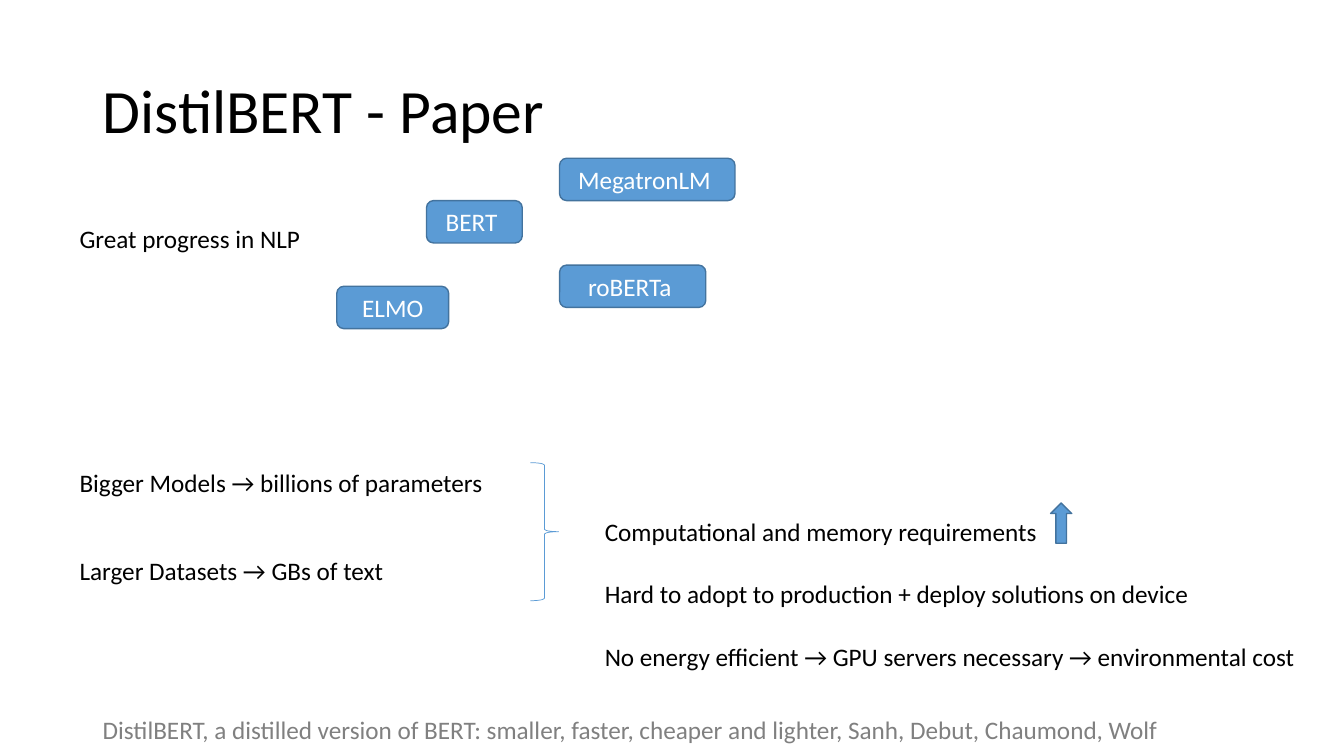
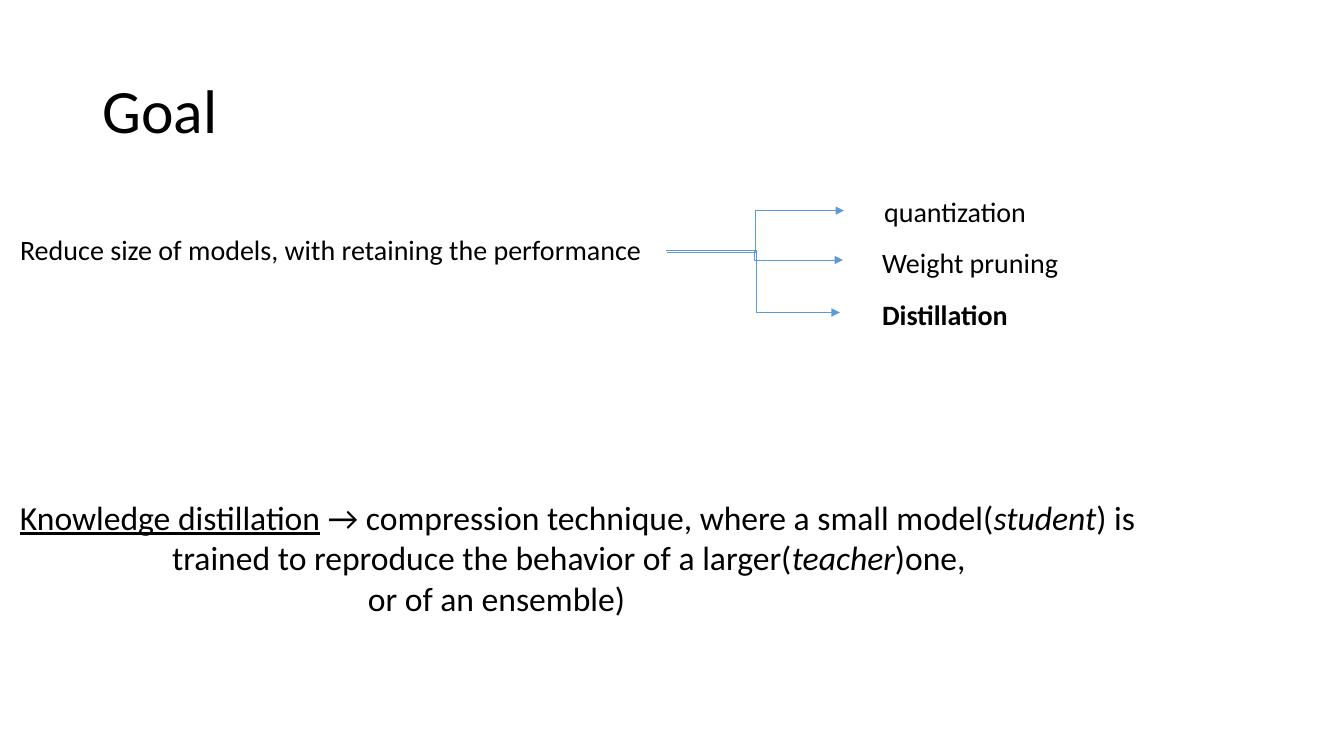
"""Build two slides about the DistilBERT paper."""
from lxml import etree
from pptx import Presentation
from pptx.dml.color import RGBColor
from pptx.enum.shapes import MSO_CONNECTOR, MSO_SHAPE
from pptx.enum.text import MSO_ANCHOR, PP_ALIGN
from pptx.oxml.ns import qn
from pptx.util import Inches, Pt

ELBOW = MSO_CONNECTOR.ELBOW
ROUNDED, BRACE, UP_ARROW = MSO_SHAPE.ROUNDED_RECTANGLE, MSO_SHAPE.RIGHT_BRACE, MSO_SHAPE.UP_ARROW
MIDDLE, TOP = MSO_ANCHOR.MIDDLE, MSO_ANCHOR.TOP
LEFT, CENTER = PP_ALIGN.LEFT, PP_ALIGN.CENTER

FONT = "Calibri"
BLACK, WHITE, GRAY = "000000", "FFFFFF", "808080"
BLUE, DARK_BLUE = "5B9BD5", "43739E"
UNDERLINED, ITALIC = {"underline": True}, {"italic": True}


def color(value):
    """Turn a hex string into a colour."""
    return RGBColor.from_string(value)


def write(para, text, size=18, ink=BLACK, align=LEFT, spacing=1.0, **style):
    """Add a formatted span of text to a paragraph."""
    para.alignment, para.line_spacing = align, spacing
    span = para.add_run()
    span.text = text
    font = span.font
    font.name, font.size, font.color.rgb = FONT, Pt(size), color(ink)
    for name, value in style.items():
        setattr(font, name, value)


def add_box(page, left, top, width, height, anchor=TOP):
    """Add an empty wrapping text box and return its frame."""
    box = page.shapes.add_textbox(Inches(left), Inches(top), Inches(width), Inches(height))
    frame = box.text_frame
    frame.word_wrap, frame.vertical_anchor = True, anchor
    return frame


def add_label(page, text, left, top, width, height=0.4, **style):
    """Add a one-line text box."""
    write(add_box(page, left, top, width, height).paragraphs[0], text, **style)


def add_page(deck, title):
    """Add a blank slide with the shared title."""
    page = deck.slides.add_slide(deck.slide_layouts[6])
    frame = add_box(page, 0.92, 0.4, 11.5, 1.45, MIDDLE)
    write(frame.paragraphs[0], title, size=44, spacing=0.9)
    return page


def add_figure(page, kind, left, top, width, height, fill=BLUE, line=DARK_BLUE, weight=1):
    """Add a preset shape, unfilled when fill is None."""
    figure = page.shapes.add_shape(kind, Inches(left), Inches(top), Inches(width), Inches(height))
    figure.shadow.inherit = False
    if fill:
        figure.fill.solid()
        figure.fill.fore_color.rgb = color(fill)
    else:
        figure.fill.background()
    figure.line.color.rgb, figure.line.width = color(line), Pt(weight)
    return figure


def add_model(page, name, left, top, width):
    """Add a rounded box that names a language model."""
    frame = add_figure(page, ROUNDED, left, top, width, 0.42).text_frame
    frame.vertical_anchor = MIDDLE
    write(frame.paragraphs[0], name, ink=WHITE, align=CENTER)


def add_branch(page, start, end):
    """Add a thin elbow connector with an arrowhead at its end."""
    branch = page.shapes.add_connector(ELBOW, *map(Inches, start + end))
    branch.line.color.rgb, branch.line.width = color(BLUE), Pt(0.5)
    etree.SubElement(branch.line._get_or_add_ln(), qn("a:tailEnd"), type="triangle")
    etree.SubElement(branch._element.spPr, qn("a:effectLst"))


def indent(para, left, first=0):
    """Set the left margin and first-line indent of a paragraph."""
    properties = para._p.get_or_add_pPr()
    properties.set("marL", str(Inches(left)))
    properties.set("indent", str(Inches(first)))


def build_paper(deck):
    """Build the slide on the paper's motivation."""
    page = add_page(deck, "DistilBERT - Paper")
    add_label(page, "Great progress in NLP", 0.69, 2.17, 2.79)
    for name, left, top, width in (
        ("BERT ", 4.23, 1.99, 0.95),
        ("ELMO", 3.34, 2.84, 1.11),
        ("roBERTa ", 5.55, 2.63, 1.45),
        ("MegatronLM ", 5.55, 1.57, 1.74),
    ):
        add_model(page, name, left, top, width)

    add_label(page, "Bigger Models → billions of parameters", 0.69, 4.59, 4.38)
    add_label(page, "Larger Datasets → GBs of text", 0.69, 5.46, 4.38)
    add_figure(page, BRACE, 5.26, 4.59, 0.28, 1.37, fill=None, line=BLUE, weight=0.5)

    problems = (
        ("Computational and memory requirements", 6.01),
        ("Hard to adopt to production + deploy solutions on device", 6.35),
        ("No energy efficient → GPU servers necessary → environmental cost", 7.43),
    )
    for row, (problem, width) in enumerate(problems):
        add_label(page, problem, 5.9, 5.07 + row * 0.62, width)
    add_figure(page, UP_ARROW, 10.42, 4.99, 0.21, 0.4)
    citation = ("DistilBERT, a distilled version of BERT: smaller, faster, cheaper and lighter, "
                "Sanh, Debut, Chaumond, Wolf")
    add_label(page, citation, 0.92, 7.04, 12.1, ink=GRAY)


def build_goal(deck):
    """Build the slide on the goal and the distillation method."""
    page = add_page(deck, "Goal")
    add_label(page, "Reduce size of models, with retaining the performance",
              0.1, 2.26, 6.42, 0.44, size=20)
    for start, end in (
        ((6.62, 2.5), (8.37, 2.09)),
        ((6.61, 2.48), (8.36, 2.58)),
        ((6.67, 2.48), (8.33, 3.1)),
    ):
        add_branch(page, start, end)
    methods = (
        ("quantization", 8.67, 2.85, False),
        ("Weight pruning", 8.65, 1.96, False),
        ("Distillation", 8.65, 1.46, True),
    )
    for row, (method, left, width, bold) in enumerate(methods):
        add_label(page, method, left, 1.88 + row * 0.51, width, 0.44, size=20, bold=bold)

    definition = add_box(page, 0.1, 4.88, 13.03, 1.31)
    definition.margin_right = Inches(1.5)
    meaning = definition.paragraphs[0]
    indent(meaning, 1.51, -1.51)
    for text, style in (
        ("Knowledge distillation", UNDERLINED),
        (" → compression technique, where a small model(", {}),
        ("student", ITALIC),
        (") is trained to reproduce the behavior of a larger(", {}),
        ("teacher", ITALIC),
        (")one,", {}),
    ):
        write(meaning, text, size=24, **style)
    addition = definition.add_paragraph()
    indent(addition, 3.45)
    write(addition, "or of an ensemble)", size=24)


def main():
    """Create the deck and save it."""
    deck = Presentation()
    deck.slide_width, deck.slide_height = Inches(13.33), Inches(7.5)
    build_paper(deck)
    build_goal(deck)
    deck.save("out.pptx")


main()
